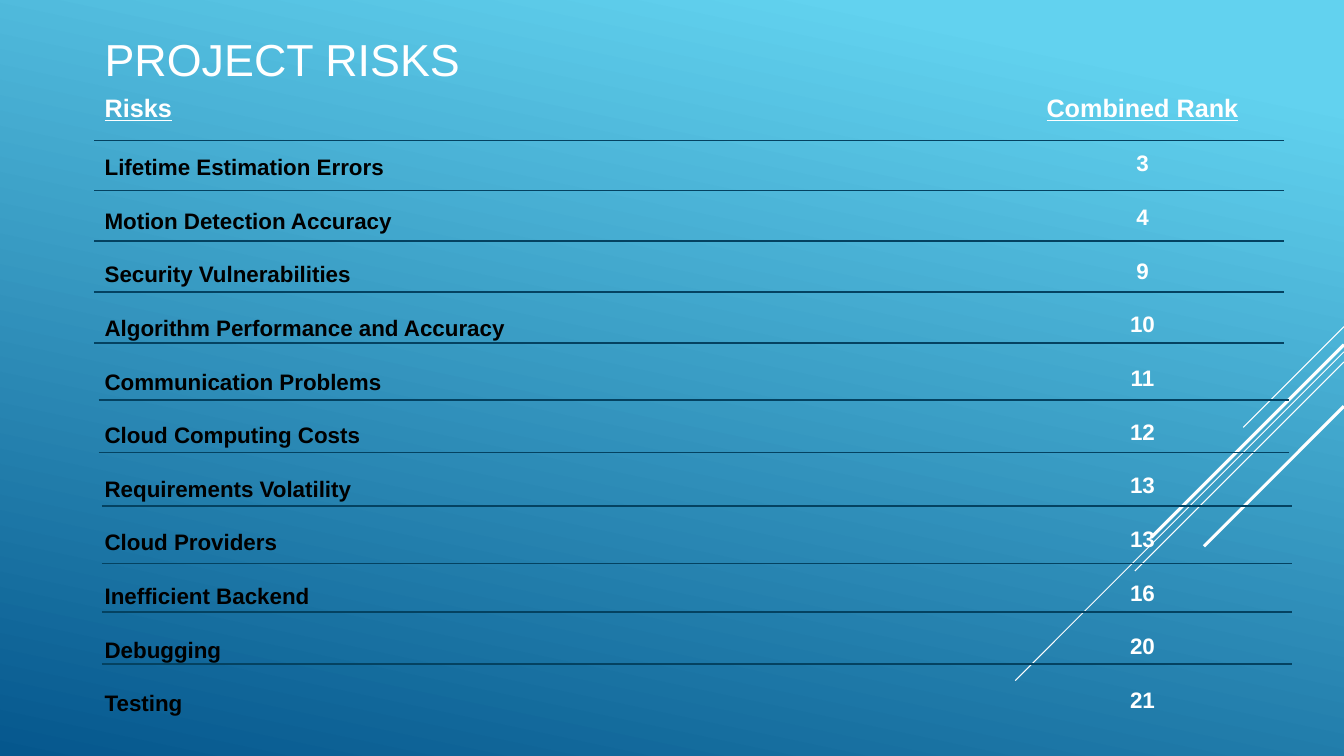
from lxml.etree import SubElement
from pptx import Presentation
from pptx.dml.color import RGBColor
from pptx.enum.shapes import MSO_CONNECTOR
from pptx.enum.text import MSO_ANCHOR, MSO_AUTO_SIZE, PP_ALIGN
from pptx.oxml.ns import qn
from pptx.util import Pt

WHITE = RGBColor(0xFF, 0xFF, 0xFF)
BLACK = RGBColor(0x00, 0x00, 0x00)
NAVY = RGBColor(0x04, 0x42, 0x61)
SKY = RGBColor(0x62, 0xD2, 0xEF)
OCEAN = RGBColor(0x05, 0x57, 0x8D)

SLIDE_WIDTH = 960
SLIDE_HEIGHT = 540
LEFT = 67.7
HEADER_TOP = 62.6
RULE_LENGTH = 850
ROW_GAP = 19.15

RISKS = [
    ("Lifetime Estimation Errors", 3),
    ("Motion Detection Accuracy", 4),
    ("Security Vulnerabilities", 9),
    ("Algorithm Performance and Accuracy", 10),
    ("Communication Problems", 11),
    ("Cloud Computing Costs", 12),
    ("Requirements Volatility", 13),
    ("Cloud Providers", 13),
    ("Inefficient Backend", 16),
    ("Debugging", 20),
    ("Testing", 21),
]
RULES = [
    (67.4, [100.3, 136.1, 172.1, 208.8, 244.8]),
    (70.4, [285.8, 323.3]),
    (72.7, [361.4, 402.5, 437, 474.5]),
]
RAYS = [
    (233.3, 72, 0.75),
    (251.3, 234.8, 0.75),
    (258.5, 149.4, 0.75),
    (246.2, 137.6, 2.25),
    (290.2, 100, 2.25),
]


class SlideBuilder:
    font_name = "Arial"

    def __init__(self, page):
        self.page = page

    def background(self, start, end, angle):
        fill = self.page.background.fill
        fill.gradient()
        fill.gradient_angle = angle
        first, last = fill.gradient_stops
        first.color.rgb, first.position = start, 0.1
        last.color.rgb, last.position = end, 1.0

    def line(self, x1, y1, x2, y2, color, width):
        connector = self.page.shapes.add_connector(
            MSO_CONNECTOR.STRAIGHT, Pt(x1), Pt(y1), Pt(x2), Pt(y2))
        connector.line.color.rgb = color
        connector.line.width = Pt(width)
        SubElement(connector._element.spPr, qn("a:effectLst"))

    def text(self, left, top, width, height, lines, color, size=16, bold=True,
             gap=0, align=PP_ALIGN.LEFT):
        box = self.page.shapes.add_textbox(Pt(left), Pt(top), Pt(width), Pt(height))
        frame = box.text_frame
        frame.word_wrap = True
        frame.auto_size = MSO_AUTO_SIZE.SHAPE_TO_FIT_TEXT
        frame.text = "\n".join(lines)
        for index, para in enumerate(frame.paragraphs):
            para.alignment = align
            if index:
                para.space_before = Pt(gap)
            for span in para.runs:
                span.font.name = self.font_name
                span.font.size = Pt(size)
                span.font.bold = bold
                span.font.color.rgb = color
        return frame

    def title(self, left, top, width, height, wording):
        frame = self.text(left, top, width, height, [wording], WHITE, 32, False)
        frame.auto_size = MSO_AUTO_SIZE.NONE
        frame.vertical_anchor = MSO_ANCHOR.BOTTOM
        frame.paragraphs[0].line_spacing = 0.9

    def header(self, frame):
        for span in frame.paragraphs[0].runs:
            span.font.size = Pt(18)
            span.font.underline = True


def main():
    deck = Presentation()
    deck.slide_width = Pt(SLIDE_WIDTH)
    deck.slide_height = Pt(SLIDE_HEIGHT)
    builder = SlideBuilder(deck.slides.add_slide(deck.slide_layouts[6]))
    builder.background(SKY, OCEAN, 258)

    for top, run, width in RAYS:
        builder.line(SLIDE_WIDTH, top, SLIDE_WIDTH - run, top + run, WHITE, width)

    builder.title(LEFT, 19.4, 720, 45.4, "PROJECT RISKS")
    names = [name for name, rank in RISKS]
    ranks = [str(rank) for name, rank in RISKS]
    builder.text(LEFT, 105.8, 378.7, 414.7, names, BLACK, gap=ROW_GAP)
    builder.header(builder.text(LEFT, HEADER_TOP, 265, 28.8, ["Risks"], WHITE))
    builder.header(builder.text(739.4, HEADER_TOP, 153.4, 457.9, ["Combined Rank"] + ranks,
                                WHITE, gap=ROW_GAP, align=PP_ALIGN.CENTER))

    for left, tops in RULES:
        for top in tops:
            builder.line(left, top, left + RULE_LENGTH, top, NAVY, 1.25)

    deck.save("out.pptx")


if __name__ == "__main__":
    main()
